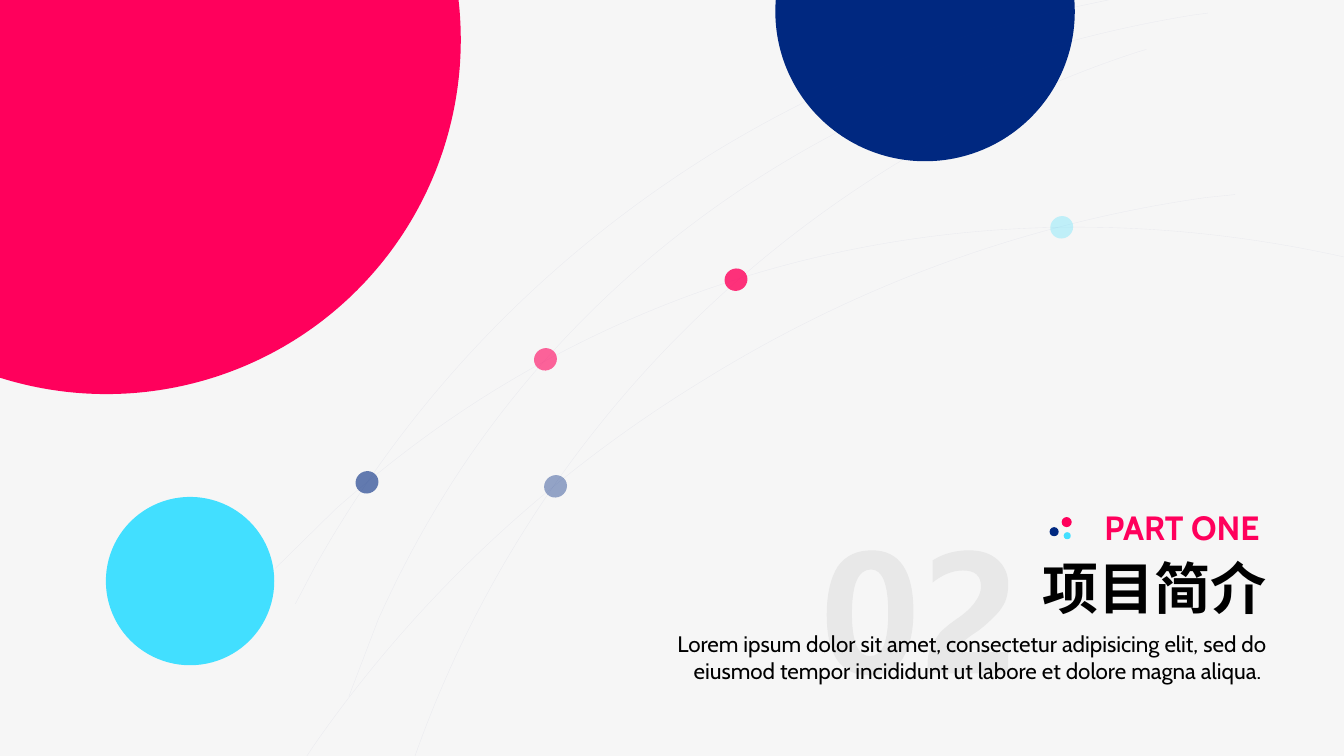
from lxml import etree
from pptx import Presentation
from pptx.dml.color import RGBColor
from pptx.enum import shapes, text
from pptx.oxml.ns import qn
from pptx import util as u

PX = 9144  # EMU per px, 100 px to the inch

PINK = RGBColor(0xFF, 0x00, 0x5C)
NAVY = RGBColor(0x00, 0x28, 0x80)
CYAN = RGBColor(0x42, 0xDF, 0xFF)
INDIGO = RGBColor(0x2D, 0x30, 0x8F)
BLACK = RGBColor(0x00, 0x00, 0x00)
GREY = RGBColor(0xE8, 0xE8, 0xE8)
PAPER = RGBColor(0xF6, 0xF6, 0xF6)

# Outlines: a start point, then lines (2 numbers) and cubic curves (6 numbers)
ORBITS = [
    [(346, 691), (375, 615), (401, 557, 432, 501, 469, 448),
     (637, 208, 894, 62, 1183, 15), (1198, 13)],
    [(273, 564), (333, 505), (382, 462, 434, 422, 491, 387),
     (748, 229, 1047, 191, 1333, 255), (1347, 258)],
    [(404, 775), (412, 749), (495, 515, 657, 305, 888, 163),
     (965, 116, 1045, 79, 1127, 52), (1137, 49)],
    [(293, 599), (312, 563), (403, 400, 538, 256, 710, 150),
     (825, 80, 947, 32, 1071, 6), (1104, -1)],
    [(303, 752), (311, 740), (409, 599, 539, 474, 698, 377),
     (856, 279, 1026, 220, 1196, 196), (1225, 193)],
]
NUMBER = [
    # Inside of the zero
    [(864, 565), (851, 565, 845, 580, 845, 609), (845, 637, 851, 651, 863, 651),
     (875, 651, 881, 637, 881, 608), (881, 579, 875, 565, 864, 565)],
    # Two
    [(961, 546), (973, 546, 982, 549, 989, 555), (996, 561, 1000, 569, 1000, 580),
     (1000, 586, 999, 592, 997, 597), (995, 601, 992, 606, 988, 610),
     (984, 614, 978, 620, 970, 626), (962, 631, 956, 636, 953, 639),
     (950, 642, 949, 645, 949, 647), (1000, 647), (1000, 668), (920, 668),
     (920, 659), (920, 653, 921, 647, 923, 642), (926, 637, 929, 632, 933, 627),
     (937, 623, 943, 618, 952, 612), (960, 606, 965, 601, 968, 596),
     (971, 592, 973, 587, 973, 582), (973, 571, 967, 566, 955, 566),
     (945, 566, 935, 570, 925, 578), (925, 556), (936, 549, 948, 546, 961, 546)],
    # Outside of the zero
    [(865, 546), (892, 546, 906, 566, 906, 607), (906, 627, 902, 643, 895, 654),
     (887, 665, 877, 670, 862, 670), (834, 670, 820, 650, 820, 610),
     (820, 589, 824, 573, 831, 562), (839, 551, 850, 546, 865, 546)],
]


def px(*lengths):
    return [u.Emu(n * PX) for n in lengths]


def write(sp, words, size, color=BLACK, bold=False, font="Cabin",
          align=text.PP_ALIGN.RIGHT):
    tf = sp.text_frame
    tf.word_wrap = True
    tf.auto_size = text.MSO_AUTO_SIZE.SHAPE_TO_FIT_TEXT
    tf.vertical_anchor = text.MSO_ANCHOR.TOP
    p = tf.paragraphs[0]
    p.alignment = align
    r = p.add_run()
    r.text = words
    r.font.name, r.font.size, r.font.bold = font, u.Pt(size), bold
    r.font.color.rgb = color


def set_alpha(fill_parent, percent):
    color = fill_parent.find(".//" + qn("a:srgbClr"))
    etree.SubElement(color, qn("a:alpha")).set("val", str(percent * 1000))


def bend(sp, contours):
    """Join the three lines that stand for each cubic into one curve."""
    lines = iter(list(sp._element.iter(qn("a:lnTo"))))
    for contour in contours:
        for seg in contour[1:]:
            parts = [next(lines) for _ in range(len(seg) // 2)]
            if len(parts) == 3:
                curve = sp._element.makeelement(qn("a:cubicBezTo"))
                parts[0].addprevious(curve)
                for part in parts:
                    curve.append(part[0])
                    part.getparent().remove(part)


class Deck:
    def __init__(self, width, height):
        self.prs = Presentation()
        self.prs.slide_width, self.prs.slide_height = px(width, height)
        self.s = None

    def new_slide(self, background):
        self.s = self.prs.slides.add_slide(self.prs.slide_layouts[5])
        self.s.background.fill.solid()
        self.s.background.fill.fore_color.rgb = background

    def title(self, box, words, **style):
        sp = self.s.shapes.title
        sp.left, sp.top, sp.width, sp.height = px(*box)
        write(sp, words, **style)

    def label(self, box, words, **style):
        write(self.s.shapes.add_textbox(*px(*box)), words, **style)

    def circle(self, x, y, w, h, color, alpha=None, rotation=0, parent=None):
        parent = parent or self.s
        sp = parent.shapes.add_shape(shapes.MSO_SHAPE.OVAL, *px(x, y, w, h))
        sp.shadow.inherit = False
        sp.rotation = rotation
        sp.fill.solid()
        sp.fill.fore_color.rgb = color
        sp.line.fill.background()
        if alpha:
            set_alpha(sp.fill._xPr, alpha)

    def outline(self, contours, fill=None, line=None, alpha=None):
        builder = None
        for start, *segs in contours:
            if builder is None:
                builder = self.s.shapes.build_freeform(*px(*start))
            else:
                builder.move_to(*px(*start))
            points = [px(*seg[i:i + 2]) for seg in segs for i in range(0, len(seg), 2)]
            builder.add_line_segments(points, close=fill is not None)
        sp = builder.convert_to_shape()
        bend(sp, contours)
        sp.shadow.inherit = False
        if fill is not None:
            sp.fill.solid()
            sp.fill.fore_color.rgb = fill
            sp.line.fill.background()
        else:
            sp.fill.background()
            sp.line.color.rgb = line
            sp.line.width = u.Pt(0.25)
            set_alpha(sp.line._get_or_add_ln(), alpha)


def main():
    deck = Deck(1333, 750)
    deck.new_slide(PAPER)

    # Pink planet and section number
    deck.circle(-246, -312, 703, 703, PINK, rotation=90)
    deck.outline(NUMBER, fill=GREY)

    # Section heading
    deck.label((1054, 498, 205, 50), "PART ONE", size=24, color=PINK, bold=True)
    deck.title((998, 544, 268, 77), "项目简介", size=40, bold=True)
    deck.label((614, 620, 652, 64),
               "Lorem ipsum dolor sit amet, consectetur adipisicing elit, sed do "
               "eiusmod tempor incididunt ut labore et dolore magna aliqua. ", size=16)

    # Other planets
    deck.circle(105, 493, 167, 167, CYAN, rotation=90)
    deck.circle(769, -137, 297, 297, NAVY, rotation=90)

    # Orbits and the moons on them
    for orbit in ORBITS:
        deck.outline([orbit], line=INDIGO, alpha=5)
    for x, y, color, alpha in [(540, 471, NAVY, 40), (353, 467, NAVY, 60),
                               (719, 266, PINK, 80), (1042, 214, CYAN, 30),
                               (530, 345, PINK, 60)]:
        deck.circle(x, y, 22, 23, color, alpha, rotation=58.4)

    # Three-dot mark beside the heading
    mark = deck.s.shapes.add_group_shape()
    for x, y, size, color in [(1055, 528, 7, CYAN), (1041, 523, 9, NAVY),
                              (1053, 513, 10, PINK)]:
        deck.circle(x, y, size, size, color, parent=mark)

    deck.prs.save("out.pptx")


if __name__ == "__main__":
    main()
